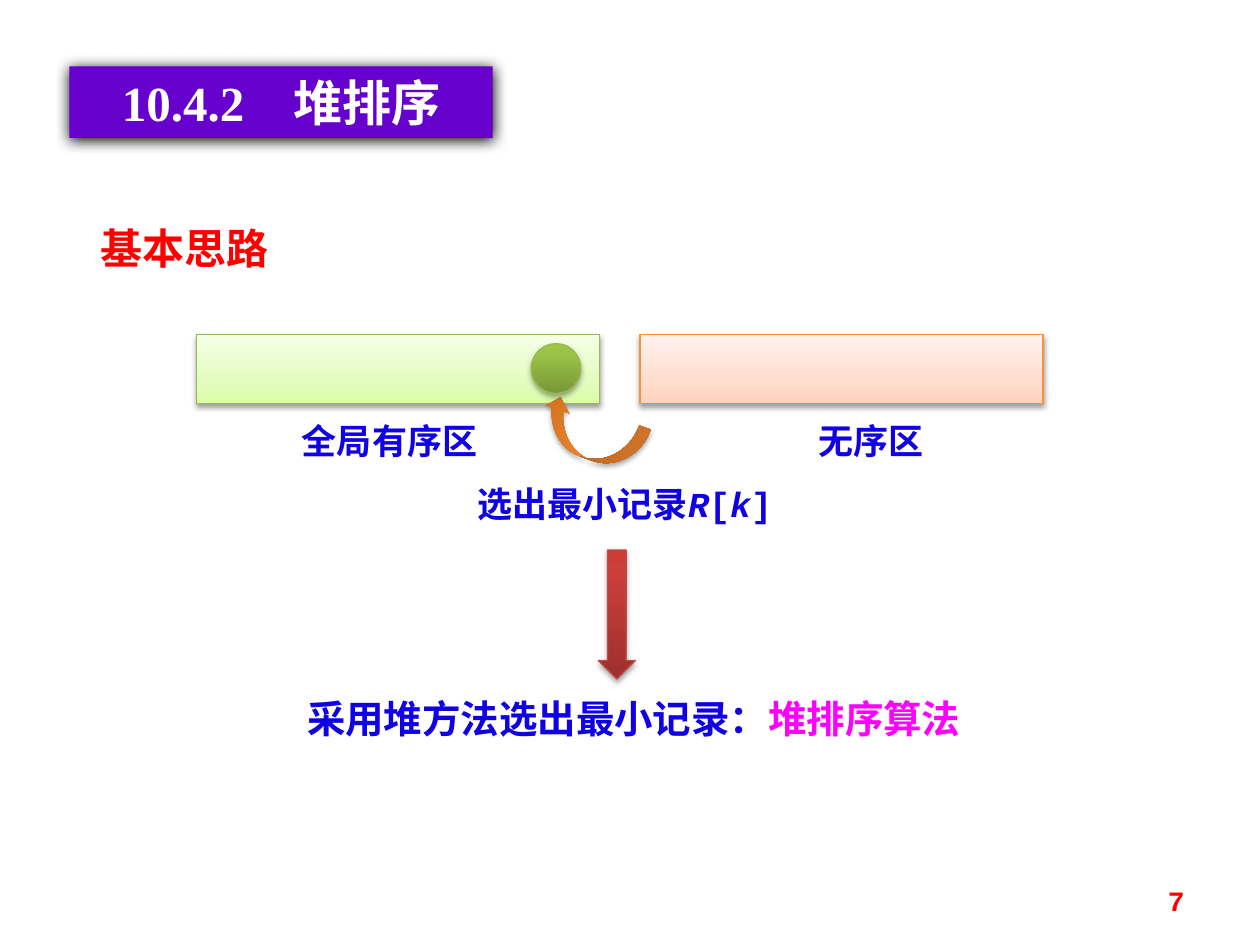
from copy import deepcopy
from dataclasses import dataclass
from typing import Optional

from lxml import etree
from pptx import Presentation
from pptx.dml.color import RGBColor
from pptx.enum.shapes import MSO_SHAPE
from pptx.enum.text import MSO_ANCHOR, MSO_AUTO_SIZE, PP_ALIGN
from pptx.oxml.ns import qn
from pptx.util import Cm, Pt

RECTANGLE = MSO_SHAPE.RECTANGLE
OVAL = MSO_SHAPE.OVAL
CURVED_ARROW = MSO_SHAPE.CURVED_LEFT_ARROW
DOWN_ARROW = MSO_SHAPE.DOWN_ARROW
LEFT, CENTER, RIGHT = PP_ALIGN.LEFT, PP_ALIGN.CENTER, PP_ALIGN.RIGHT
TOP, MIDDLE = MSO_ANCHOR.TOP, MSO_ANCHOR.MIDDLE
NO_AUTOFIT = MSO_AUTO_SIZE.NONE

SANS, SERIF, MONO = "Noto Sans CJK SC", "Times New Roman", "Courier New"
WHITE = RGBColor(0xFF, 0xFF, 0xFF)
PURPLE = RGBColor(0x66, 0x00, 0xCC)
BLUE = RGBColor(0x10, 0x00, 0xE4)
RED = RGBColor(0xFF, 0x00, 0x00)
MAGENTA = RGBColor(0xFF, 0x00, 0xFF)
GREEN_EDGE = RGBColor(0x98, 0xB9, 0x55)
ORANGE_EDGE = RGBColor(0xF6, 0x92, 0x40)
RED_EDGE = RGBColor(0xBF, 0x4C, 0x48)
PALE_GREENS = (RGBColor(0xDA, 0xFD, 0xA7), RGBColor(0xE4, 0xFC, 0xC2), RGBColor(0xF5, 0xFF, 0xE7))
PALE_ORANGES = (RGBColor(0xFF, 0xD2, 0xBD), RGBColor(0xFF, 0xDE, 0xD0), RGBColor(0xFF, 0xF2, 0xED))
GREENS = (RGBColor(0x77, 0x97, 0x37), RGBColor(0x9B, 0xC3, 0x48), RGBColor(0x9D, 0xC7, 0x46))
ORANGES = (RGBColor(0xCC, 0x6E, 0x20), RGBColor(0xFF, 0x90, 0x34), RGBColor(0xFF, 0x91, 0x36))
REDS = (RGBColor(0x9C, 0x2F, 0x2D), RGBColor(0xCB, 0x3E, 0x3A), RGBColor(0xCE, 0x3B, 0x37))


@dataclass(frozen=True)
class Box:
    left: float
    top: float
    width: float
    height: float

    def lengths(self) -> tuple:
        return Cm(self.left), Cm(self.top), Cm(self.width), Cm(self.height)


@dataclass(frozen=True)
class Piece:
    text: str
    font: str = SANS
    color: RGBColor = BLUE
    italic: bool = False


@dataclass(frozen=True)
class Label:
    box: Box
    pieces: tuple
    size: int
    align: PP_ALIGN = LEFT
    anchor: MSO_ANCHOR = TOP


@dataclass(frozen=True)
class Figure:
    kind: MSO_SHAPE
    box: Box
    colors: tuple
    middle_stop: float
    edge: Optional[RGBColor] = None
    rotation: float = 0
    shadow_alpha: int = 35


def cast_shadow(shape, blur: float, distance: float, alpha: int) -> None:
    shape.shadow.inherit = False
    effects = shape._element.spPr.find(qn("a:effectLst"))
    outer = etree.SubElement(effects, qn("a:outerShdw"), blurRad=str(Pt(blur)),
                             dist=str(Pt(distance)), dir="5400000", rotWithShape="0")
    black = etree.SubElement(outer, qn("a:srgbClr"), val="000000")
    etree.SubElement(black, qn("a:alpha"), val=str(alpha * 1000))


def fill_gradient(fill, colors: tuple, middle_stop: float) -> None:
    fill.gradient()
    fill.gradient_angle = 90
    first = fill.gradient_stops[0]._gs
    first.addnext(deepcopy(first))
    for stop, color, position in zip(fill.gradient_stops, colors, (0, middle_stop, 1)):
        stop.color.rgb = color
        stop.position = position


def draw_figure(slide, figure: Figure) -> None:
    shape = slide.shapes.add_shape(figure.kind, *figure.box.lengths())
    shape.rotation = figure.rotation
    fill_gradient(shape.fill, figure.colors, figure.middle_stop)
    if figure.edge is None:
        shape.line.fill.background()
    else:
        shape.line.color.rgb = figure.edge
        shape.line.width = Pt(0.75)
    cast_shadow(shape, 3.1, 1.7, figure.shadow_alpha)


def write_label(shape, label: Label) -> None:
    frame = shape.text_frame
    frame.word_wrap = True
    frame.auto_size = NO_AUTOFIT
    frame.vertical_anchor = label.anchor
    paragraph = frame.paragraphs[0]
    paragraph.alignment = label.align
    for piece in label.pieces:
        run = paragraph.add_run()
        run.text = piece.text
        run.font.size = Pt(label.size)
        run.font.bold = True
        run.font.italic = piece.italic
        run.font.name = piece.font
        run.font.color.rgb = piece.color
        etree.SubElement(run.font._element, qn("a:ea"), typeface=SANS)


def add_label(slide, label: Label) -> None:
    write_label(slide.shapes.add_textbox(*label.box.lengths()), label)


def add_title(slide, label: Label) -> None:
    title = slide.shapes.title
    title.left, title.top, title.width, title.height = label.box.lengths()
    title.fill.solid()
    title.fill.fore_color.rgb = PURPLE
    cast_shadow(title, 8.5, 1, 100)
    write_label(title, label)


TITLE = Label(Box(1.4, 1.34, 8.53, 1.44), (Piece("10.4.2　堆排序", SERIF, WHITE),), 28, CENTER, MIDDLE)

FIGURES = (
    Figure(RECTANGLE, Box(3.96, 6.74, 8.13, 1.4), PALE_GREENS, 0.35, GREEN_EDGE, shadow_alpha=38),
    Figure(RECTANGLE, Box(12.9, 6.74, 8.13, 1.4), PALE_ORANGES, 0.35, ORANGE_EDGE, shadow_alpha=38),
    Figure(CURVED_ARROW, Box(11.43, 7.67, 0.99, 2.18), ORANGES, 0.8, rotation=109.7),
    Figure(OVAL, Box(10.71, 6.93, 1, 1), GREENS, 0.8, GREEN_EDGE),
    Figure(DOWN_ARROW, Box(12.06, 11.09, 0.75, 2.6), REDS, 0.8, RED_EDGE),
)

LABELS = (
    Label(Box(5.77, 8.33, 4.17, 1.11), (Piece("全局有序区"),), 20, CENTER),
    Label(Box(15.47, 8.33, 4.17, 1.11), (Piece("无序区"),), 20, CENTER),
    Label(Box(8.8, 9.6, 7.6, 1.11), (
        Piece("选出最小记录", MONO),
        Piece("R", MONO, italic=True),
        Piece("[", MONO),
        Piece("k", MONO, italic=True),
        Piece("]", MONO),
    ), 20, CENTER),
    Label(Box(5.94, 13.89, 14.3, 1.2), (
        Piece("采用堆方法"),
        Piece("选出最小记录：", SERIF),
        Piece("堆排序算法", color=MAGENTA),
    ), 22),
    Label(Box(1.78, 4.37, 5.36, 1.28), (Piece("基本思路", color=RED),), 24),
    Label(Box(18.21, 17.65, 5.92, 1.01), (Piece("7", MONO, RED),), 16, RIGHT, MIDDLE),
)


def main() -> None:
    deck = Presentation()
    deck.slide_width, deck.slide_height = Cm(25.4), Cm(19.05)
    slide = deck.slides.add_slide(deck.slide_layouts[5])
    add_title(slide, TITLE)
    for figure in FIGURES:
        draw_figure(slide, figure)
    for label in LABELS:
        add_label(slide, label)
    deck.save("out.pptx")


if __name__ == "__main__":
    main()
